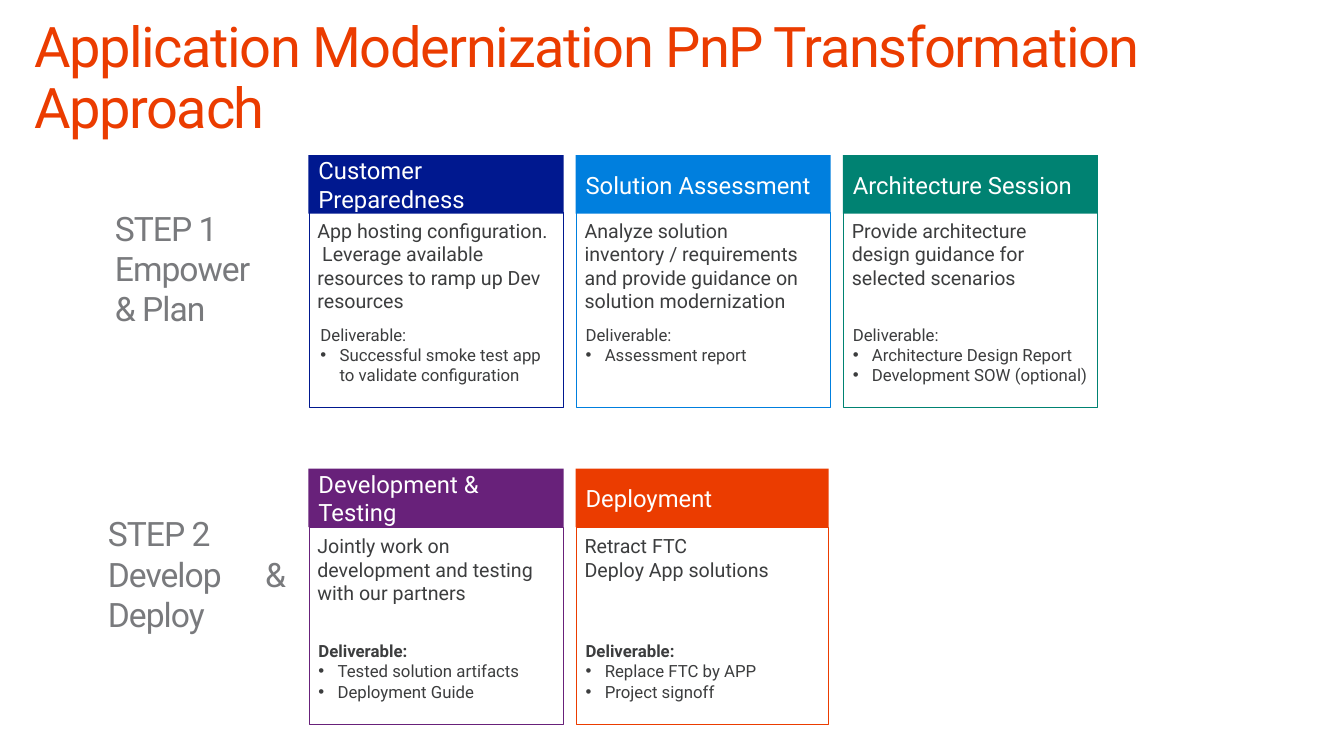
from dataclasses import dataclass

from lxml.etree import SubElement
from pptx import Presentation
from pptx.dml.color import RGBColor
from pptx.enum.shapes import MSO_SHAPE
from pptx.enum.text import MSO_ANCHOR, MSO_AUTO_SIZE, PP_ALIGN
from pptx.oxml.ns import qn
from pptx.util import Inches, Pt

FONT = "Roboto"
WHITE, INK, GREY, ORANGE = "FFFFFF", "3C3D3E", "797A7D", "EB3C00"
COLUMN_LEFT, COLUMN_STEP = 3.06, 2.65


@dataclass
class Card:
    heading: str
    color: str
    summary: list[str]
    deliverables: list[str]
    width: float = 2.53
    deliverable_shift: float = 0


@dataclass
class Step:
    label: list[str]
    label_left: float
    label_top: float
    header_top: float
    summary_top: float
    deliverable_top: float
    frame_top: float
    frame_height: float
    bold_deliverable: bool
    cards: list[Card]


STEPS = [
    Step(["STEP 1", "Empower\v& Plan"], 1.14, 2.06, 1.54, 2.12, 3.17, 2.11, 1.93, False, [
        Card("Customer Preparedness", "00188F",
             ["App hosting configuration.  Leverage available resources to ramp up Dev resources"],
             ["Successful smoke test app to validate configuration"], deliverable_shift=0.02),
        Card("Solution Assessment", "007FDE",
             ["Analyze solution inventory / requirements and provide guidance on solution modernization"],
             ["Assessment report"]),
        Card("Architecture Session", "008272",
             ["Provide architecture design guidance for selected scenarios"],
             ["Architecture Design Report", "Development SOW (optional)"]),
    ]),
    Step(["STEP 2", "Develop\t& Deploy"], 1.07, 5.09, 4.65, 5.25, 6.31, 5.23, 1.96, True, [
        Card("Development & Testing", "68217A",
             ["Jointly work on development and testing with our partners"],
             ["Tested solution artifacts", "Deployment Guide"]),
        Card("Deployment", ORANGE, ["Retract FTC", "Deploy App solutions"],
             ["Replace FTC by APP", "Project signoff"], width=2.51),
    ]),
]


def rgb(color: str) -> RGBColor:
    return RGBColor.from_string(color)


def set_text(sp, lines: list[str], size: float, color: str, spacing: float = 0,
             insets: tuple = (0.1, 0.05, 0.1, 0.05), anchor=MSO_ANCHOR.TOP) -> None:
    tf = sp.text_frame
    tf.text = "\n".join(lines)
    tf.word_wrap = True
    tf.auto_size = MSO_AUTO_SIZE.NONE
    tf.vertical_anchor = anchor
    tf.margin_left, tf.margin_top, tf.margin_right, tf.margin_bottom = map(Inches, insets)
    for p in tf.paragraphs:
        p.alignment = PP_ALIGN.LEFT
        for r in p.runs:
            r.font.name, r.font.size = FONT, Pt(size)
            r.font.color.rgb = rgb(color)
            if spacing:
                r.font._element.set("spc", str(round(spacing * 100)))


def add_box(s, left: float, top: float, width: float, height: float,
            fill: str = "", line: str = ""):
    sp = s.shapes.add_shape(MSO_SHAPE.RECTANGLE, Inches(left), Inches(top),
                            Inches(width), Inches(height))
    sp.shadow.inherit = False
    if fill:
        sp.fill.solid()
        sp.fill.fore_color.rgb = rgb(fill)
    else:
        sp.fill.background()
    if line:
        sp.line.color.rgb = rgb(line)
        sp.line.width = Pt(0.75)
    else:
        sp.line.fill.background()
    return sp


def add_text(s, left: float, top: float, width: float, height: float):
    return s.shapes.add_textbox(Inches(left), Inches(top), Inches(width), Inches(height))


def add_bullet(p) -> None:
    pPr = p._p.get_or_add_pPr()
    pPr.set("marL", str(Inches(0.19)))
    pPr.set("indent", str(-Inches(0.19)))
    SubElement(pPr, qn("a:buFont")).set("typeface", "Arial")
    SubElement(pPr, qn("a:buChar")).set("char", "•")


def add_tab_stop(p, position: float) -> None:
    tabs = SubElement(p._p.get_or_add_pPr(), qn("a:tabLst"))
    tab = SubElement(tabs, qn("a:tab"))
    tab.set("pos", str(Inches(position)))
    tab.set("algn", "l")


def add_card(s, step: Step, card: Card, left: float) -> None:
    header = add_box(s, left, step.header_top, card.width, 0.58, fill=card.color)
    set_text(header, [card.heading], 17, WHITE, anchor=MSO_ANCHOR.MIDDLE)

    summary = add_text(s, left - 0.01, step.summary_top, 2.53, 0.97)
    set_text(summary, card.summary, 14, INK)

    deliverable = add_box(s, left + card.deliverable_shift, step.deliverable_top,
                          2.53, 0.77, fill=WHITE)
    set_text(deliverable, ["Deliverable:", *card.deliverables], 12, INK,
             insets=(0.1, 0.05, 0.1, 0))
    title, *items = deliverable.text_frame.paragraphs
    title.runs[0].font.bold = step.bold_deliverable
    for p in items:
        add_bullet(p)

    add_box(s, left + 0.01, step.frame_top, card.width - 0.01, step.frame_height,
            line=card.color)


def add_step(s, step: Step) -> None:
    for i, card in enumerate(step.cards):
        add_card(s, step, card, COLUMN_LEFT + i * COLUMN_STEP)
    label = add_text(s, step.label_left, step.label_top, 1.79, 1.21)
    set_text(label, step.label, 24, GREY, spacing=-0.7, insets=(0, 0, 0, 0))
    add_tab_stop(label.text_frame.paragraphs[1], 1.56)


def main() -> None:
    prs = Presentation()
    prs.slide_width, prs.slide_height = Inches(13.33), Inches(7.5)
    s = prs.slides.add_slide(prs.slide_layouts[5])

    # Title
    title = s.shapes.title
    title.left, title.top = Inches(0.34), Inches(0.19)
    title.width, title.height = Inches(12.69), Inches(0.82)
    set_text(title, ["Application Modernization PnP Transformation Approach"], 40, ORANGE,
             spacing=-1, insets=(0, 0, 0, 0))
    title.text_frame.paragraphs[0].line_spacing = 0.9

    # Steps with their cards
    for step in STEPS:
        add_step(s, step)

    prs.save("out.pptx")


if __name__ == "__main__":
    main()
